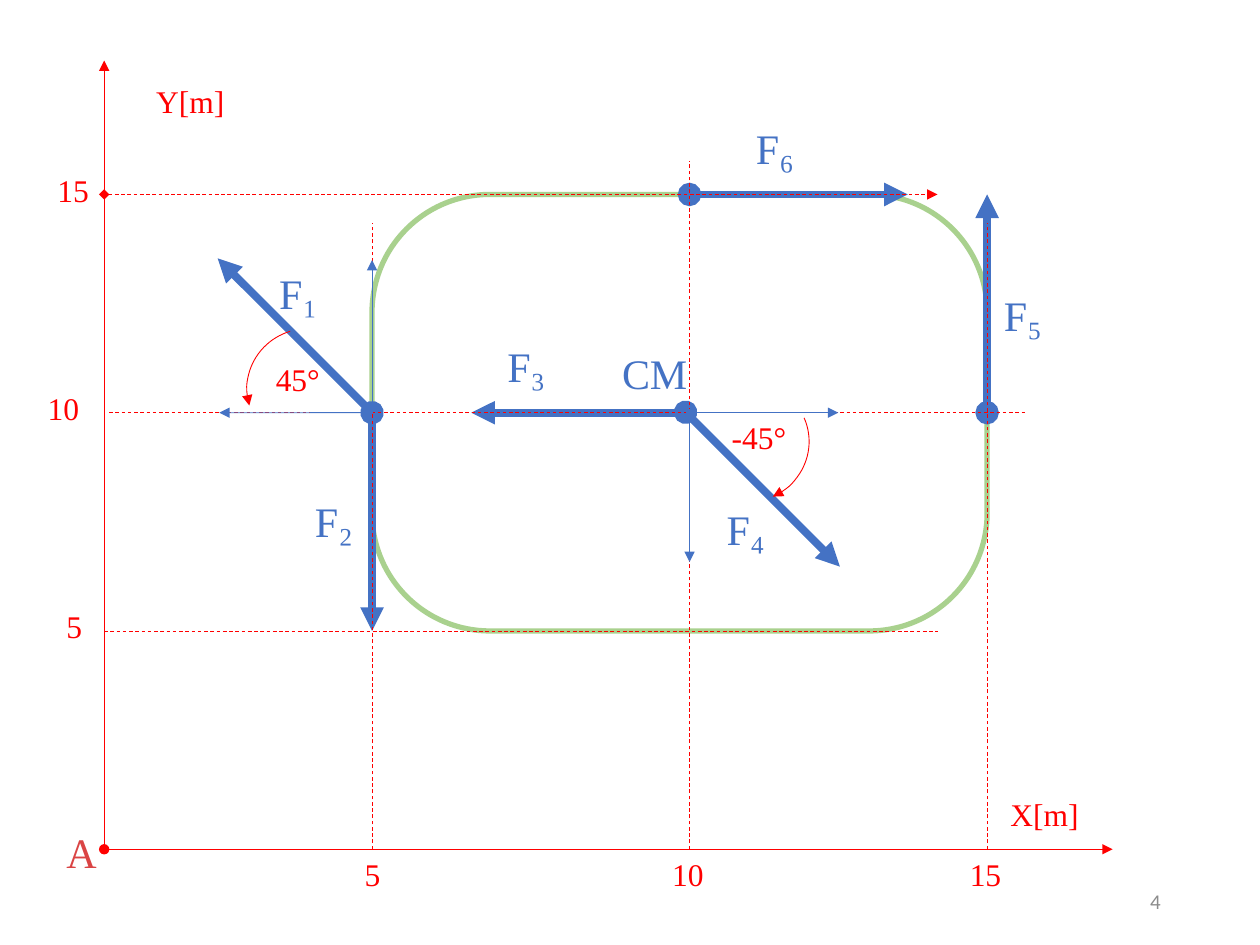
from dataclasses import dataclass
from math import cos, radians, sin

from lxml.etree import SubElement
from pptx import Presentation
from pptx.dml.color import RGBColor
from pptx.enum.dml import MSO_LINE
from pptx.enum.shapes import MSO_CONNECTOR, MSO_SHAPE
from pptx.enum.text import MSO_ANCHOR, PP_ALIGN
from pptx.oxml.ns import qn
from pptx.util import Cm, Pt


@dataclass(frozen=True)
class Theme:
    red: str = "FF0000"
    blue: str = "4472C4"
    green: str = "A9D18E"
    origin: str = "DA4444"
    grey: str = "8C8C8C"
    serif: str = "Times New Roman"
    sans: str = "Calibri"
    name_size: float = 24
    value_size: float = 18
    page_size: float = 12
    thin: float = 0.5
    outline: float = 3
    thick: float = 4.5


THEME = Theme()

# All places are in centimetres; X and Y map metres to the slide.
X = {0: 2.1, 5: 7.5, 10: 13.9, 15: 19.9}
Y = {metre: 17.12 - 0.88 * metre for metre in (0, 5, 10, 15)}
FORCE_LENGTH = 4.4
COMPONENT_LENGTH = 3.08
LEFT, RIGHT = 1, 3  # connection sites of the plate

# start, angle in degrees, dot at the start, plate side
FORCES = [
    ((X[5], Y[10]), -90, None, LEFT),
    ((13.82, 8.31), -45, "oval", None),
    ((X[15], Y[10]), 90, "oval", RIGHT),
    ((X[10], Y[10]), 180, None, None),
    ((X[5], Y[10]), 135, "oval", LEFT),
    ((X[10], Y[15]), 0, "oval", None),
]
COMPONENTS = [
    ((X[5], Y[10]), 90, None, LEFT),
    ((X[5], Y[10]), 180, None, LEFT),
    ((X[10], 8.25), -90, None, None),
    ((13.82, Y[10]), 0, None, None),
]
# start, end, head, tail
AXES = [
    ((X[0], Y[0]), (X[0], 1.22), None, "triangle"),
    ((X[0], Y[0]), (22.43, Y[0]), "oval", "triangle"),
]
GUIDES = [
    ((X[0], Y[15]), (18.9, Y[15]), "diamond", "triangle"),
    ((X[0], Y[5]), (18.9, Y[5]), None, None),
    ((X[5], Y[0]), (X[5], 4.5), None, None),
    ((X[15], Y[0]), (X[15], 4.5), None, None),
    ((X[10], Y[0]), (X[10], 3.25), None, None),
    ((2.2, Y[10]), (20.7, Y[10]), None, None),
]
# text, left, top
VALUES = [
    ("Y[m]", 2.9, 1.52),
    ("15", X[15] - 0.6, Y[0]),
    ("10", X[10] - 0.6, Y[0]),
    ("5", X[5] - 0.4, Y[0]),
    ("15", 0.91, Y[15] - 0.6),
    ("10", 0.71, Y[10] - 0.6),
    ("5", 1.09, Y[5] - 0.6),
    ("X[m]", 20.12, 15.9),
    ("45°", 5.31, 7.14),
    ("-45°", 14.5, 8.31),
]
# text, left, top, width, colour
NAMES = [
    ("F₁", 5.38, 5.26, 1.3, THEME.blue),
    ("CM", 12.29, 6.88, 1.9, THEME.blue),
    ("A", 1.09, 16.54, 1.3, THEME.origin),
    ("F₆", 14.99, 2.34, 1.3, THEME.blue),
    ("F₅", 19.99, 5.72, 1.3, THEME.blue),
    ("F₄", 14.4, 10.03, 1.3, THEME.blue),
    ("F₃", 9.98, 6.73, 1.3, THEME.blue),
    ("F₂", 6.1, 9.86, 1.3, THEME.blue),
]
# left, top, rotation, head, tail
ANGLE_ARCS = [
    (5.0, 6.6, 253.2, "triangle", None),
    (13.9, 7.7, 66.1, None, "triangle"),
]


def style_line(shape, colour, width, head=None, tail=None, dashed=False):
    line = shape.line
    line.color.rgb = RGBColor.from_string(colour)
    line.width = Pt(width)
    if dashed:
        line.dash_style = MSO_LINE.DASH
    properties = shape._element.spPr
    for tag, kind in (("a:headEnd", head), ("a:tailEnd", tail)):
        if kind:
            SubElement(properties.find(qn("a:ln")), qn(tag), type=kind)


def add_line(page, start, end, colour, width, **ends):
    line = page.shapes.add_connector(
        MSO_CONNECTOR.STRAIGHT, *(Cm(value) for value in (*start, *end)))
    style_line(line, colour, width, **ends)
    SubElement(line._element.spPr, qn("a:effectLst"))
    return line


def add_vectors(page, plate, vectors, length, width):
    """Draw arrows of one length, joined to the plate where a side is given."""
    for (x, y), angle, head, side in vectors:
        turn = radians(angle)
        end = (x + length * cos(turn), y - length * sin(turn))
        arrow = add_line(page, (x, y), end, THEME.blue, width,
                         head=head, tail="triangle")
        if side is not None:
            arrow.begin_connect(plate, side)


def add_outline(page, kind, left, top, width, height):
    shape = page.shapes.add_shape(kind, Cm(left), Cm(top), Cm(width), Cm(height))
    shape.shadow.inherit = False
    shape.fill.background()
    return shape


def add_label(page, text, left, top, width, height, size, colour, font=THEME.serif):
    box = page.shapes.add_textbox(Cm(left), Cm(top), Cm(width), Cm(height))
    box.text_frame.word_wrap = True
    paragraph = box.text_frame.paragraphs[0]
    span = paragraph.add_run()
    span.text = text
    span.font.name = font
    span.font.size = Pt(size)
    span.font.color.rgb = RGBColor.from_string(colour)
    return box


def main():
    deck = Presentation()
    deck.slide_width, deck.slide_height = Cm(25.4), Cm(19.05)
    page = deck.slides.add_slide(deck.slide_layouts[6])

    number = add_label(page, "4", 17.93, 17.65, 5.72, 1.02,
                       THEME.page_size, THEME.grey, THEME.sans)
    number.text_frame.vertical_anchor = MSO_ANCHOR.MIDDLE
    number.text_frame.paragraphs[0].alignment = PP_ALIGN.RIGHT

    plate = add_outline(page, MSO_SHAPE.ROUNDED_RECTANGLE,
                        X[5], Y[15], X[15] - X[5], Y[5] - Y[15])
    plate.adjustments[0] = 0.27
    style_line(plate, THEME.green, THEME.outline)

    add_vectors(page, plate, FORCES, FORCE_LENGTH, THEME.thick)
    for lines, dashed in ((AXES, False), (GUIDES, True)):
        for start, end, head, tail in lines:
            add_line(page, start, end, THEME.red, THEME.thin,
                     head=head, tail=tail, dashed=dashed)

    for text, left, top in VALUES:
        add_label(page, text, left, top, 1.98, 1.02, THEME.value_size, THEME.red)
    for text, left, top, width, colour in NAMES:
        add_label(page, text, left, top, width, 1.27, THEME.name_size, colour)

    for left, top, rotation, head, tail in ANGLE_ARCS:
        arc = add_outline(page, MSO_SHAPE.ARC, left, top, 2.39, 2.44)
        arc.rotation = rotation
        style_line(arc, THEME.red, THEME.thin, head=head, tail=tail)
    add_vectors(page, plate, COMPONENTS, COMPONENT_LENGTH, THEME.thin)

    deck.save("out.pptx")


if __name__ == "__main__":
    main()
